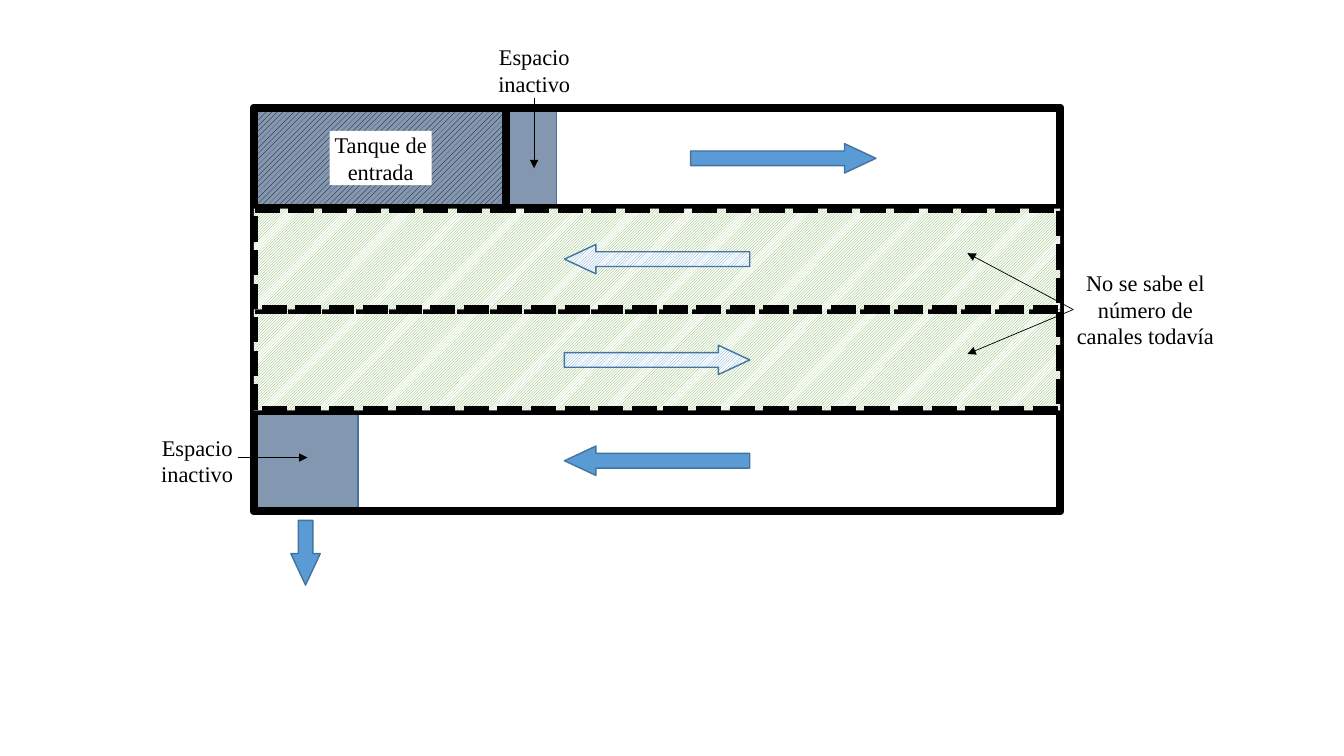
from pptx import Presentation
from pptx.dml.color import RGBColor
from pptx.enum.dml import MSO_LINE, MSO_PATTERN
from pptx.enum.shapes import MSO_CONNECTOR, MSO_SHAPE
from pptx.enum.text import MSO_ANCHOR, PP_ALIGN
from pptx.oxml.ns import qn
from pptx.util import Cm, Pt
from lxml import etree

RECT, ARROW = MSO_SHAPE.RECTANGLE, MSO_SHAPE.RIGHT_ARROW
STRAIGHT = MSO_CONNECTOR.STRAIGHT
WIDE = MSO_PATTERN.WIDE_UPWARD_DIAGONAL
LIGHT = MSO_PATTERN.LIGHT_UPWARD_DIAGONAL
DASH = MSO_LINE.SQUARE_DOT
CENTER, MIDDLE = PP_ALIGN.CENTER, MSO_ANCHOR.MIDDLE

BLACK = RGBColor(0x00, 0x00, 0x00)
WHITE = RGBColor(0xFF, 0xFF, 0xFF)
SLATE = RGBColor(0x84, 0x97, 0xB0)
BLUE = RGBColor(0x5B, 0x9B, 0xD5)
NAVY = RGBColor(0x43, 0x73, 0x9E)
GREEN = RGBColor(0x70, 0xAD, 0x47)

FONT = "Times New Roman"
ROW = 2.54  # height of one channel
THIN, THICK = 1, 6


def paint(shape, fore, back=None, hatch=None):
    """Fill a shape with a colour, a hatch, or nothing."""
    fill = shape.fill
    if fore is None:
        fill.background()
    elif hatch is None:
        fill.solid()
        fill.fore_color.rgb = fore
    else:
        fill.patterned()
        fill.pattern = hatch
        fill.fore_color.rgb = fore
        fill.back_color.rgb = back


def add_box(slide, box, paints=(None,), edge=BLACK, width=THICK, kind=RECT):
    """Add a preset shape in box (left, top, width, height), in cm."""
    shape = slide.shapes.add_shape(kind, *map(Cm, box))
    shape.shadow.inherit = False
    paint(shape, *paints)
    if edge is None:
        shape.line.fill.background()
    else:
        shape.line.color.rgb = edge
        shape.line.width = Pt(width)
    return shape


def add_flow(slide, mid, paints=(BLUE,), turn=0, length=4.67):
    """Add a block arrow centred on mid and turned by degrees."""
    x, y = mid
    high = 0.74
    box = (x - length / 2, y - high / 2, length, high)
    shape = add_box(slide, box, paints, NAVY, THIN, ARROW)
    shape.adjustments[0] = 0.5
    shape.adjustments[1] = 1.07
    shape.rotation = turn


def add_label(slide, box, text):
    """Add a white box with centred text."""
    shape = add_box(slide, box, (WHITE,), None)
    frame = shape.text_frame
    frame.text = text
    frame.word_wrap = True
    frame.vertical_anchor = MIDDLE
    frame.margin_left = frame.margin_right = 0
    frame.margin_top = frame.margin_bottom = 0
    para = frame.paragraphs[0]
    para.alignment = CENTER
    font = para.runs[0].font
    font.name, font.size = FONT, Pt(16)
    font.color.rgb = BLACK


def add_pointer(slide, start, end):
    """Add a thin line with an arrowhead at its end."""
    line = slide.shapes.add_connector(STRAIGHT, *map(Cm, start + end))
    line.line.color.rgb = BLACK
    line.line.width = Pt(0.5)
    etree.SubElement(line.line._get_or_add_ln(), qn("a:tailEnd"), type="triangle")
    etree.SubElement(line._element.spPr, qn("a:effectLst"))


def draw_tank(slide, box):
    """Draw the tank: four channels, inlet and idle spaces."""
    left, top, wide, high = box
    inlet = 6.35
    rows = [top + ROW * i for i in range(4)]
    split = left + inlet

    add_box(slide, (split, top, 1.27, ROW), (SLATE,), NAVY, THIN)
    add_box(slide, box)
    add_box(slide, (left, top, inlet, ROW), (BLACK, SLATE, WIDE))
    add_box(slide, (left + 0.08, rows[3], ROW, ROW), (SLATE,), NAVY, THIN)
    add_box(slide, (split, top, wide - inlet, ROW))
    add_box(slide, (left, rows[3], wide, ROW))
    for y in (rows[2], rows[1]):
        row = add_box(slide, (left, y, wide, ROW), (GREEN, WHITE, LIGHT))
        row.line.dash_style = DASH


def draw_flows(slide, box):
    """Draw the flow through each channel and out of the tank."""
    left, top, wide, high = box
    mids = [top + ROW * (i + 0.5) for i in range(4)]
    centre = left + wide / 2
    hatch = (BLUE, WHITE, LIGHT)
    add_flow(slide, (centre + 3.18, mids[0]))
    add_flow(slide, (centre, mids[2]), hatch)
    add_flow(slide, (centre, mids[1]), hatch, 180)
    add_flow(slide, (centre, mids[3]), turn=180)
    add_flow(slide, (left + 1.3, top + high + 1.05), turn=90, length=1.63)


def draw_notes(slide, box):
    """Draw the labels and their pointers."""
    left, top, wide, high = box
    idle = "Espacio inactivo"
    add_label(slide, (left + 1.91, top + 0.58, 2.57, 1.37), "Tanque de entrada")

    add_label(slide, (left + 5.87, top - 1.63, 2.39, 1.37), idle)
    x = left + 7.06
    add_pointer(slide, (x, top - 0.26), (x, top + 1.52))

    add_label(slide, (left - 2.46, top + 8.2, 2.06, 1.37), idle)
    y = top + 8.81
    add_pointer(slide, (left - 0.41, y), (left + 1.35, y))

    side = left + wide + 0.33
    add_label(slide, (side, top + 4.04, 3.63, 2.06),
              "No se sabe el número de canales todavía")
    for y in (3.66, 6.2):
        add_pointer(slide, (side, top + high / 2), (side - 2.67, top + y))


def main():
    """Build the slide and save it."""
    deck = Presentation()
    deck.slide_width, deck.slide_height = Cm(33.87), Cm(19.05)
    slide = deck.slides.add_slide(deck.slide_layouts[6])
    tank = (6.4, 2.72, 20.32, 4 * ROW)
    for draw in (draw_tank, draw_flows, draw_notes):
        draw(slide, tank)
    deck.save("out.pptx")


main()
